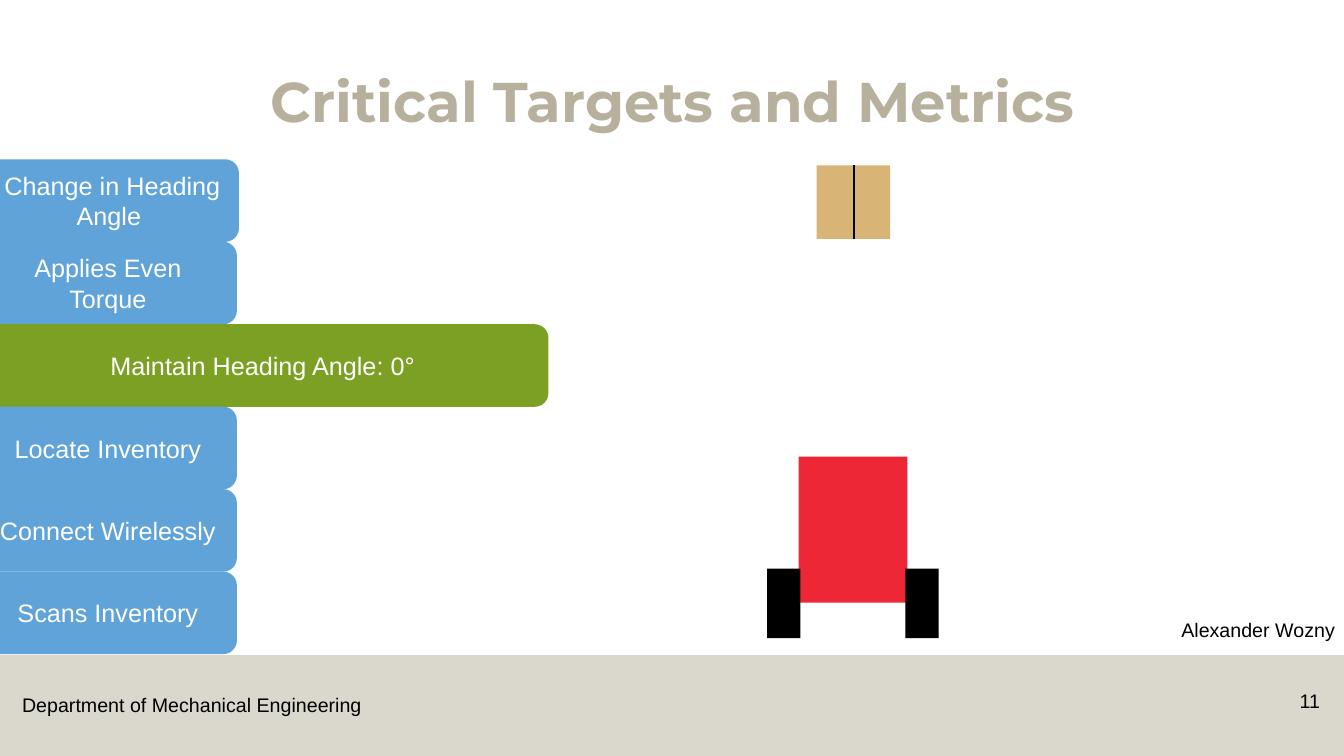
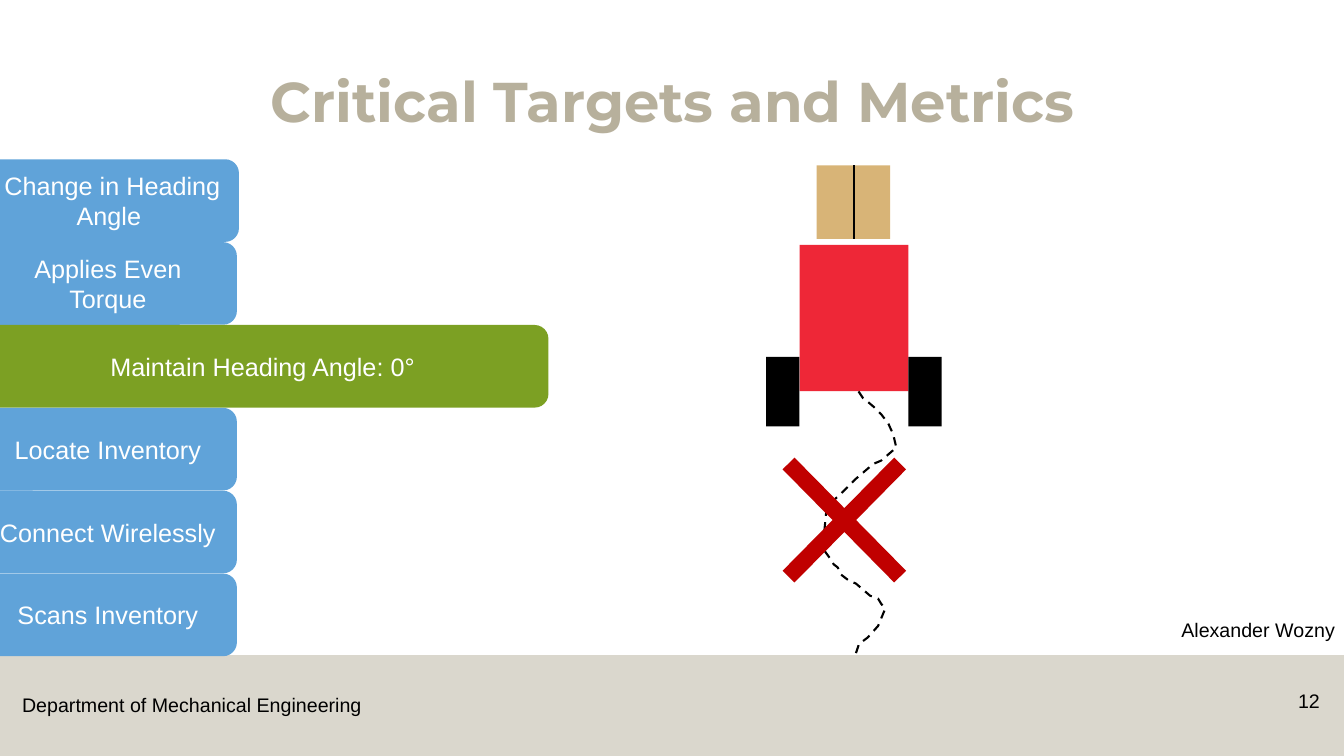
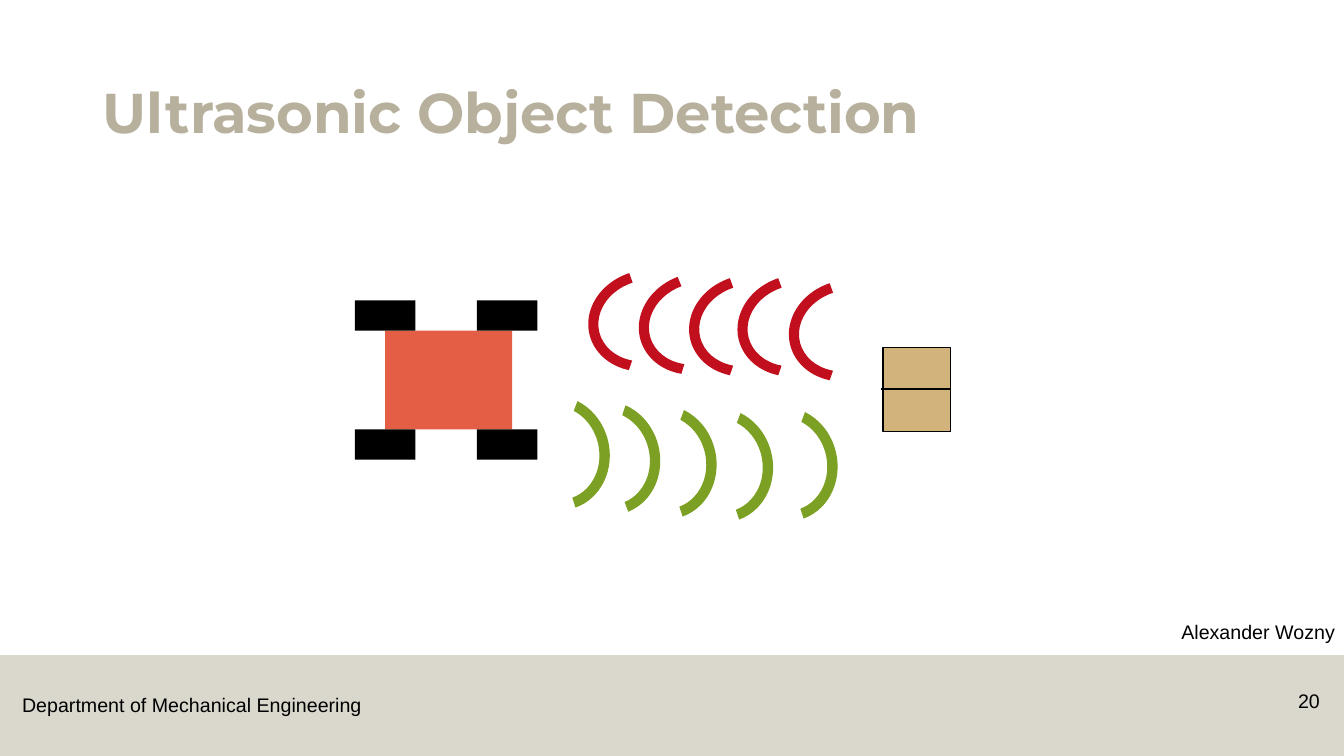
from dataclasses import dataclass

from lxml import etree
from pptx import Presentation
from pptx.dml.color import RGBColor
from pptx.enum.dml import MSO_LINE
from pptx.enum.shapes import MSO_CONNECTOR, MSO_SHAPE
from pptx.enum.text import MSO_ANCHOR, MSO_AUTO_SIZE, PP_ALIGN
from pptx.oxml.ns import qn
from pptx.util import Inches, Pt

RECT, ROUND = MSO_SHAPE.RECTANGLE, MSO_SHAPE.ROUNDED_RECTANGLE
ARC, CROSS = MSO_SHAPE.BLOCK_ARC, MSO_SHAPE.MATH_MULTIPLY
LEFT, CENTER, RIGHT = PP_ALIGN.LEFT, PP_ALIGN.CENTER, PP_ALIGN.RIGHT
TOP, MIDDLE, BOTTOM = MSO_ANCHOR.TOP, MSO_ANCHOR.MIDDLE, MSO_ANCHOR.BOTTOM
STRAIGHT, DASH = MSO_CONNECTOR.STRAIGHT, MSO_LINE.DASH
FIXED = MSO_AUTO_SIZE.NONE


@dataclass(frozen=True)
class Theme:
    sand: str = "B7B09C"
    blue: str = "60A3D9"
    green: str = "7CA023"
    red: str = "EE2737"
    coral: str = "E45E46"
    wave: str = "C10F1D"
    cross: str = "C00000"
    crate: str = "D8B477"
    tan: str = "D3B37C"
    black: str = "000000"
    white: str = "FFFFFF"
    head: str = "Montserrat"
    body: str = "Arial"
    title: int = 40
    label: int = 18
    small: int = 14


theme = Theme()


def write(shape, text, size=theme.small, color=theme.black, font=theme.body,
          bold=False, align=LEFT, anchor=TOP, wrap=True, spacing=1.0):
    frame = shape.text_frame
    frame.auto_size = FIXED
    frame.word_wrap = wrap
    frame.vertical_anchor = anchor
    para = frame.paragraphs[0]
    para.alignment = align
    para.line_spacing = spacing
    run = para.add_run()
    run.text = text
    run.font.name, run.font.size, run.font.bold = font, Pt(size), bold
    run.font.color.rgb = RGBColor.from_string(color)


def draw(shapes, kind, x, y, w, h, fill, turn=0):
    """Add a preset shape with a plain fill, no line and no shadow."""
    shape = shapes.add_shape(kind, Inches(x), Inches(y), Inches(w), Inches(h))
    shape.shadow.inherit = False
    shape.fill.solid()
    shape.fill.fore_color.rgb = RGBColor.from_string(fill)
    shape.line.fill.background()
    shape.rotation = turn
    return shape


prs = Presentation()
prs.slide_width, prs.slide_height = Inches(13.33), Inches(7.5)
layout = prs.slide_layouts[5]
for holder in list(layout.placeholders)[1:]:
    holder._element.getparent().remove(holder._element)

# Titles, authors and slide numbers
slides = []
for title, number, align, top, name_top in (
    ("Critical Targets and Metrics", "11", CENTER, 0.3, 6.08),
    ("Critical Targets and Metrics", "12", CENTER, 0.3, 6.08),
    ("Ultrasonic Object Detection", "20", LEFT, 0.4, 6.1),
):
    slide = prs.slides.add_slide(layout)
    slides.append(slide)
    head = slide.shapes.title
    head.left, head.top = Inches(0.92), Inches(top)
    head.width, head.height = Inches(11.5), Inches(1.09)
    write(head, title, size=theme.title, color=theme.sand, font=theme.head,
          bold=True, align=align, anchor=BOTTOM, spacing=0.9)
    for text, x, y, w in (("Alexander Wozny", 10.3, name_top, 3.04),
                          (number, 12.42, 6.79, 0.77)):
        note = slide.shapes.add_textbox(Inches(x), Inches(y), Inches(w), Inches(0.4))
        write(note, text, align=RIGHT)
first, second, third = slides

# Footer, moved to the shared layout
band = draw(first.shapes, RECT, 0, 6.5, 13.33, 1, theme.sand)
tint = band._element.spPr.find(qn("a:solidFill")).find(qn("a:srgbClr"))
etree.SubElement(tint, qn("a:alpha"), val="50000")
dept = first.shapes.add_textbox(Inches(0.12), Inches(6.83), Inches(3.59), Inches(0.34))
write(dept, "Department of Mechanical Engineering", wrap=False)
for part in (band, dept):
    layout.shapes._spTree.append(part._element)

# Robots seen from above, heading up
for slide, x, y, gap in ((first, 7.92, 4.53, 0.31), (second, 7.93, 2.43, 0.33)):
    robot = slide.shapes.add_group_shape().shapes
    draw(robot, RECT, x, y, 1.08, 1.45, theme.red)
    for wheel in (x + 1.08 + gap - 0.33, x - gap):
        draw(robot, RECT, wheel, y + 1.11, 0.33, 0.69, theme.black)

# Winding track in hundredths of an inch, crossed out
track = [
    (849, 648), (852, 639), (860, 633), (863, 630), (871, 621), (878, 604),
    (874, 599), (871, 594), (863, 591), (856, 585), (849, 579), (842, 576),
    (834, 570), (831, 563), (827, 560), (824, 555), (816, 544), (820, 503),
    (824, 499), (834, 490), (845, 479), (849, 475), (863, 463), (867, 460),
    (874, 457), (881, 451), (889, 444), (886, 431), (881, 420), (874, 411),
    (867, 404), (860, 398), (856, 395), (852, 389), (849, 385),
]
pen = second.shapes.build_freeform(*track[0], scale=Inches(0.01))
pen.add_line_segments(track[1:], close=False)
path = pen.convert_to_shape()
path.shadow.inherit = False
path.fill.background()
path.line.color.rgb = RGBColor.from_string(theme.black)
path.line.width, path.line.dash_style = Pt(1.5), DASH
cross = draw(second.shapes, CROSS, 7.31, 4.08, 2.13, 2.16, theme.cross)
cross.adjustments[0] = 0.078

# Metric tabs, evenly spaced down the left edge
metrics = (" Change in Heading Angle", "Applies Even Torque",
           "Maintain Heading Angle: 0°", "Locate Inventory",
           "Connect Wirelessly", "Scans Inventory")
for slide, span in ((first, 4.09), (second, 4.11)):
    for i, text in enumerate(metrics):
        x, w, fill = -0.21, 2.56, theme.blue
        if i == 0:
            w = 2.58
        elif i == 2:
            x, w, fill = -0.23, 5.67, theme.green
        y = 1.58 + i * span / (len(metrics) - 1)
        tab = draw(slide.shapes, ROUND, x, y, w, 0.82, fill)
        write(tab, text, size=theme.label, color=theme.white,
              align=CENTER, anchor=MIDDLE)

# Sound waves: sent in green, returned in red
sent = ((4.96, 3.98, 77.5), (5.46, 4.03, 75), (6.02, 4.07, 77.2),
        (6.58, 4.1, 77.2), (7.22, 4.09, 77.2))
back = ((5.91, 2.6, 256), (6.41, 2.63, 253.5), (6.91, 2.65, 255.7),
        (7.39, 2.65, 255.7), (7.9, 2.7, 255.7))
for waves, w, h, fill in ((sent, 1.14, 1.03, theme.green),
                          (back, 1, 1.16, theme.wave)):
    for x, y, turn in waves:
        arc = draw(third.shapes, ARC, x, y, w, h, fill, turn)
        for i, value in enumerate((128.06, 212.59, 0.1)):
            arc.adjustments[i] = value

# Robot heading right
robot = third.shapes.add_group_shape().shapes
draw(robot, RECT, 3.82, 3.28, 1.26, 0.98, theme.coral)
for x in (3.52, 4.73):
    for y in (2.98, 4.26):
        draw(robot, RECT, x, y, 0.6, 0.3, theme.black)

# Crates, each with a seam
for slide, x, y, w, h, fill, edge, seam in (
    (first, 8.1, 1.64, 0.73, 0.73, theme.crate, 0, (8.47, 1.64, 8.47, 2.37)),
    (second, 8.1, 1.64, 0.73, 0.73, theme.crate, 0, (8.47, 1.64, 8.47, 2.37)),
    (third, 8.76, 3.45, 0.67, 0.83, theme.tan, 1, (9.43, 3.86, 8.74, 3.86)),
):
    group = slide.shapes.add_group_shape().shapes
    crate = draw(group, RECT, x, y, w, h, fill)
    if edge:
        crate.line.color.rgb = RGBColor.from_string(theme.black)
        crate.line.width = Pt(edge)
    line = group.add_connector(STRAIGHT, *[Inches(v) for v in seam])
    line.line.color.rgb = RGBColor.from_string(theme.black)
    line.line.width = Pt(1.5)
    etree.SubElement(line._element.spPr, qn("a:effectLst"))

prs.save("out.pptx")
